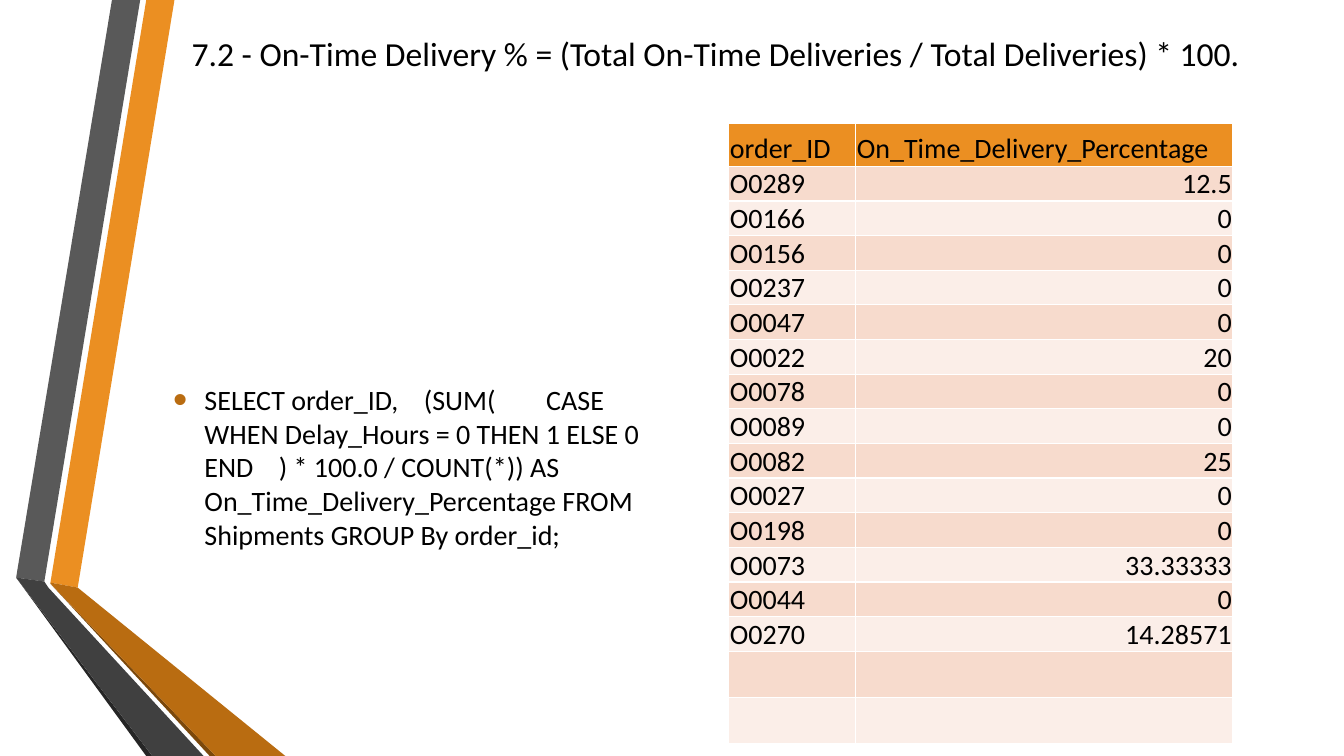
from lxml import etree
from pptx import Presentation
from pptx.dml.color import RGBColor
from pptx.enum.text import MSO_ANCHOR, PP_ALIGN
from pptx.oxml.ns import qn
from pptx.util import Inches, Pt

WIDTH, HEIGHT = Inches(13.33), Inches(7.5)
FONT = "Calibri"
BLACK = RGBColor(0x00, 0x00, 0x00)
ORANGE = RGBColor(0xEB, 0x8F, 0x22)
DARK_ORANGE = RGBColor(0xB9, 0x6C, 0x11)
BROWN = RGBColor(0x7B, 0x48, 0x0B)
GREY = RGBColor(0x59, 0x59, 0x59)
DARK_GREY = RGBColor(0x40, 0x40, 0x40)
CHARCOAL = RGBColor(0x26, 0x26, 0x26)
BANDS = (RGBColor(0xF7, 0xDB, 0xCD), RGBColor(0xFB, 0xEE, 0xE8))

# Ribbon corners as percentages of the slide's width and height
RIBBONS = [
    (ORANGE, [(3.75, 77.07), (5.78, 77.73), (12.98, 0), (10.88, 0)]),
    (GREY, [(10.43, 0), (8.33, 0), (1.2, 76.4), (3.3, 76.93)]),
    (CHARCOAL, [(1.2, 76.4), (10.88, 100), (11.33, 100)]),
    (BROWN, [(3.75, 77.2), (15.6, 100), (16.05, 100)]),
    (DARK_ORANGE, [(3.75, 77.07), (3.75, 77.2), (16.05, 100), (21.23, 100),
                   (5.78, 77.73)]),
    (DARK_GREY, [(15.15, 100), (3.6, 77.73), (3.3, 76.93), (1.2, 76.4),
                 (11.33, 100)]),
]

TITLE = ("7.2 - On-Time Delivery % = "
         "(Total On-Time Deliveries / Total Deliveries) * 100.")
QUERY = ("SELECT order_ID,    (SUM(        CASE            "
         "WHEN Delay_Hours = 0 THEN 1 ELSE 0        END    ) * 100.0 / COUNT(*)) "
         "AS On_Time_Delivery_Percentage FROM Shipments GROUP By order_id;")

HEADER = ("order_ID", "On_Time_Delivery_Percentage")
DELIVERIES = [
    ("O0289", "12.5"), ("O0166", "0"), ("O0156", "0"), ("O0237", "0"),
    ("O0047", "0"), ("O0022", "20"), ("O0078", "0"), ("O0089", "0"),
    ("O0082", "25"), ("O0027", "0"), ("O0198", "0"), ("O0073", "33.33333"),
    ("O0044", "0"), ("O0270", "14.28571"),
]
BLANK_ROWS = [("", "")] * 2
COLUMN_SHARES = (9.45, 28.05)
HEADER_SHARE, DELIVERY_SHARE, BLANK_SHARE = 5.73, 4, 6.13


def across(percent):
    return round(WIDTH * percent / 100)


def down(percent):
    return round(HEIGHT * percent / 100)


def add_ribbon(slide, color, corners):
    (first_x, first_y), *others = [(across(x), down(y)) for x, y in corners]
    outline = slide.shapes.build_freeform(first_x, first_y)
    outline.add_line_segments(others, close=True)
    ribbon = outline.convert_to_shape()
    ribbon.shadow.inherit = False
    ribbon.fill.solid()
    ribbon.fill.fore_color.rgb = color
    ribbon.line.fill.background()


def add_run(paragraph, text, size):
    run = paragraph.add_run()
    run.text = text
    run.font.size = Pt(size)
    run.font.name = FONT
    run.font.bold = False
    run.font.color.rgb = BLACK


def add_text(slide, left, top, width, height, text, size):
    """Add middle-anchored text, placed in slide percentages; return its paragraph."""
    frame = slide.shapes.add_textbox(
        across(left), down(top), across(width), down(height)).text_frame
    frame.word_wrap = True
    frame.vertical_anchor = MSO_ANCHOR.MIDDLE
    paragraph = frame.paragraphs[0]
    add_run(paragraph, text, size)
    return paragraph


def add_bullet(paragraph, color, percent):
    properties = paragraph._p.get_or_add_pPr()
    indent = Inches(0.31)
    properties.set("marL", str(indent))
    properties.set("indent", str(-indent))
    bullet_color = etree.SubElement(properties, qn("a:buClr"))
    etree.SubElement(bullet_color, qn("a:srgbClr"), val=str(color))
    etree.SubElement(properties, qn("a:buSzPct"), val=str(percent * 1000))
    etree.SubElement(properties, qn("a:buFont"), typeface="Arial")
    etree.SubElement(properties, qn("a:buChar"), char="•")


def fill_cell(cell, text, color, align):
    cell.fill.solid()
    cell.fill.fore_color.rgb = color
    if not text:
        return
    cell.vertical_anchor = MSO_ANCHOR.BOTTOM
    cell.margin_left = cell.margin_top = cell.margin_right = Inches(0.01)
    cell.margin_bottom = 0
    paragraph = cell.text_frame.paragraphs[0]
    paragraph.alignment = align
    add_run(paragraph, text, 20)


def add_delivery_table(slide, left, top):
    records = [HEADER] + DELIVERIES + BLANK_ROWS
    row_shares = ([HEADER_SHARE] + [DELIVERY_SHARE] * len(DELIVERIES)
                  + [BLANK_SHARE] * len(BLANK_ROWS))
    table = slide.shapes.add_table(
        len(records), len(HEADER), across(left), down(top),
        across(sum(COLUMN_SHARES)), down(sum(row_shares))).table
    for column, share in zip(table.columns, COLUMN_SHARES):
        column.width = across(share)
    for index, (record, share) in enumerate(zip(records, row_shares)):
        table.rows[index].height = down(share)
        is_header = index == 0
        color = ORANGE if is_header else BANDS[(index - 1) % 2]
        percentage_align = PP_ALIGN.LEFT if is_header else PP_ALIGN.RIGHT
        order_id, percentage = record
        fill_cell(table.cell(index, 0), order_id, color, PP_ALIGN.LEFT)
        fill_cell(table.cell(index, 1), percentage, color, percentage_align)


def main():
    deck = Presentation()
    deck.slide_width, deck.slide_height = WIDTH, HEIGHT
    slide = deck.slides.add_slide(deck.slide_layouts[6])

    for color, corners in RIBBONS:
        add_ribbon(slide, color, corners)

    title = add_text(slide, 12.15, 2.67, 82.2, 8.67, TITLE, 24)
    title.alignment = PP_ALIGN.CENTER

    query = add_text(slide, 12.15, 38.93, 40.13, 45.6, QUERY, 20)
    add_bullet(query, DARK_ORANGE, 145)
    query.space_after = Pt(6)

    add_delivery_table(slide, 54.23, 16.27)
    deck.save("out.pptx")


if __name__ == "__main__":
    main()
